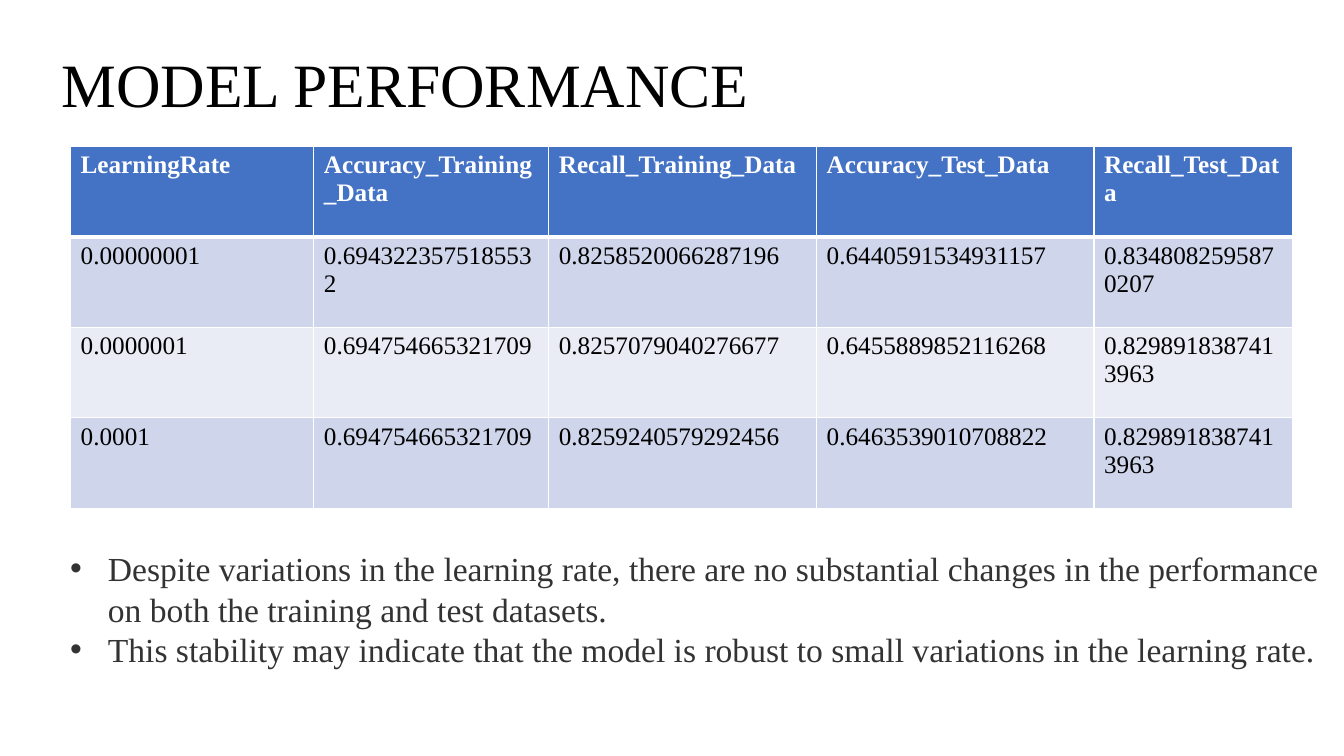
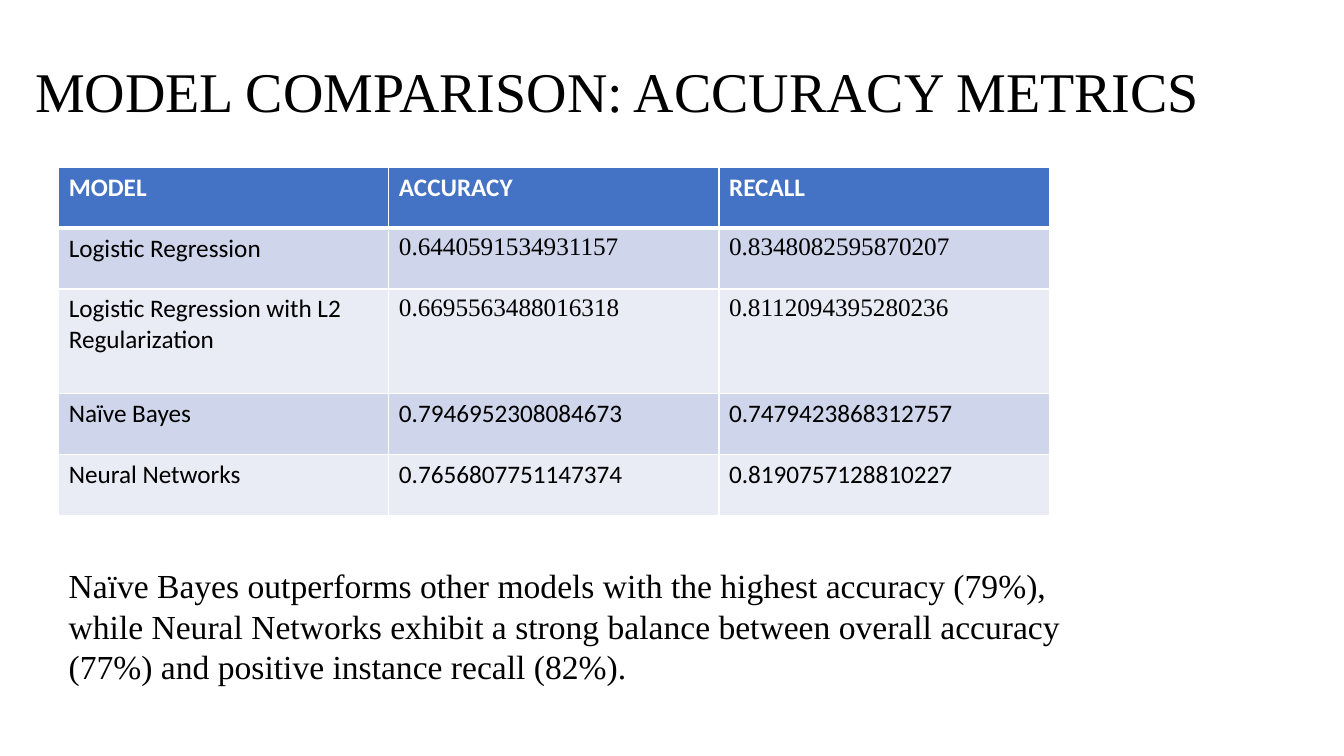
from lxml import etree
from pptx import Presentation
from pptx.dml.color import RGBColor
from pptx.enum.text import MSO_ANCHOR
from pptx.oxml.ns import qn
from pptx.util import Cm, Pt

MIDDLE, TOP = MSO_ANCHOR.MIDDLE, MSO_ANCHOR.TOP
SERIF, SANS = "Times New Roman", "Calibri"
BLACK = RGBColor(0x00, 0x00, 0x00)
GREY = RGBColor(0x33, 0x33, 0x33)
WHITE = RGBColor(0xFF, 0xFF, 0xFF)
HEADER_BLUE = RGBColor(0x44, 0x72, 0xC4)
BANDS = [RGBColor(0xCF, 0xD5, 0xEA), RGBColor(0xE9, 0xEB, 0xF5)]

# Content: boxes are left, top, width, height in cm
SLIDES = [
    {
        "title": ("MODEL PERFORMANCE", 44, (1.3, 0.36, 29.21, 3.68)),
        "table_corner": (1.78, 3.69),
        "columns": [6.13, 5.92, 6.75, 6.99, 5],
        "row_heights": [2.28] * 4,
        "rows": [
            ["LearningRate", "Accuracy_Training_Data", "Recall_Training_Data",
             "Accuracy_Test_Data", "Recall_Test_Data"],
            ["0.00000001", "0.6943223575185532", "0.8258520066287196",
             "0.6440591534931157", "0.8348082595870207"],
            ["0.0000001", "0.694754665321709", "0.8257079040276677",
             "0.6455889852116268", "0.8298918387413963"],
            ["0.0001", "0.694754665321709", "0.8259240579292456",
             "0.6463539010708822", "0.8298918387413963"],
        ],
        # Fonts of each row: first column, other columns
        "fonts": [(SERIF, SERIF)] * 4,
        "findings": [
            "Despite variations in the learning rate, there are no substantial changes "
            "in the performance on both the training and test datasets.",
            "This stability may indicate that the model is robust to small variations "
            "in the learning rate.",
        ],
        "findings_box": (1.52, 13.69, 32.33, 3.33),
        "findings_color": GREY,
        "bulleted": True,
    },
    {
        "title": ("MODEL COMPARISON: ACCURACY METRICS", 40, (0.64, 0.53, 31.75, 3.68)),
        "table_corner": (1.48, 4.22),
        "columns": [8.32] * 3,
        "row_heights": [1.53, 1.53, 2.64, 1.53, 1.53],
        "rows": [
            ["MODEL", "ACCURACY", "RECALL"],
            ["Logistic Regression", "0.6440591534931157", "0.8348082595870207"],
            ["Logistic Regression with L2 Regularization",
             "0.6695563488016318", "0.8112094395280236"],
            ["Naïve Bayes", "0.7946952308084673", "0.7479423868312757"],
            ["Neural Networks", "0.7656807751147374", "0.8190757128810227"],
        ],
        "fonts": [(SANS, SANS), (SANS, SERIF), (SANS, SERIF), (SANS, SANS), (SANS, SANS)],
        "findings": [
            "Naïve Bayes outperforms other models with the highest accuracy (79%), while "
            "Neural Networks exhibit a strong balance between overall accuracy (77%) and "
            "positive instance recall (82%).",
        ],
        "findings_box": (1.48, 14.12, 25.5, 3.33),
        "findings_color": BLACK,
        "bulleted": False,
    },
]


def add_run(paragraph, text, size, font, color, bold=False):
    run = paragraph.add_run()
    run.text = text
    run.font.size = Pt(size)
    run.font.name = font
    run.font.color.rgb = color
    run.font.bold = bold


def add_bullet(paragraph):
    props = paragraph._p.get_or_add_pPr()
    props.set("marL", str(Cm(0.95)))
    props.set("indent", str(-Cm(0.95)))
    etree.SubElement(props, qn("a:buFont")).set("typeface", "Arial")
    etree.SubElement(props, qn("a:buChar")).set("char", "•")


def add_text(slide, box, texts, size, color, anchor=TOP, spacing=None, bulleted=False):
    frame = slide.shapes.add_textbox(*map(Cm, box)).text_frame
    frame.word_wrap = True
    frame.vertical_anchor = anchor
    for i, text in enumerate(texts):
        paragraph = frame.add_paragraph() if i else frame.paragraphs[0]
        paragraph.line_spacing = spacing
        if bulleted:
            add_bullet(paragraph)
        add_run(paragraph, text, size, SERIF, color)


def set_borders(cell, top, bottom):
    props = cell._tc.get_or_add_tcPr()
    for side, points in (("L", 1), ("R", 1), ("T", top), ("B", bottom)):
        line = etree.SubElement(props, qn(f"a:ln{side}"), w=str(Pt(points)))
        fill = etree.SubElement(line, qn("a:solidFill"))
        etree.SubElement(fill, qn("a:srgbClr"), val=str(WHITE))


def add_metrics_table(slide, content):
    rows, widths, heights = content["rows"], content["columns"], content["row_heights"]
    box = (*content["table_corner"], sum(widths), sum(heights))
    table = slide.shapes.add_table(len(rows), len(widths), *map(Cm, box)).table
    for column, width in zip(table.columns, widths):
        column.width = Cm(width)
    for r, (values, fonts) in enumerate(zip(rows, content["fonts"])):
        table.rows[r].height = Cm(heights[r])
        header = r == 0
        for c, value in enumerate(values):
            cell = table.cell(r, c)
            set_borders(cell, top=3 if r == 1 else 1, bottom=3 if header else 1)
            cell.fill.solid()
            cell.fill.fore_color.rgb = HEADER_BLUE if header else BANDS[(r - 1) % 2]
            add_run(cell.text_frame.paragraphs[0], value, 18, fonts[min(c, 1)],
                    WHITE if header else BLACK, bold=header)


def main():
    prs = Presentation()
    prs.slide_width, prs.slide_height = Cm(33.87), Cm(19.05)
    blank = prs.slide_layouts[6]
    for content in SLIDES:
        slide = prs.slides.add_slide(blank)
        title, size, box = content["title"]
        add_text(slide, box, [title], size, BLACK, anchor=MIDDLE, spacing=0.9)
        add_metrics_table(slide, content)
        add_text(slide, content["findings_box"], content["findings"], 24,
                 content["findings_color"], bulleted=content["bulleted"])
    prs.save("out.pptx")


if __name__ == "__main__":
    main()
